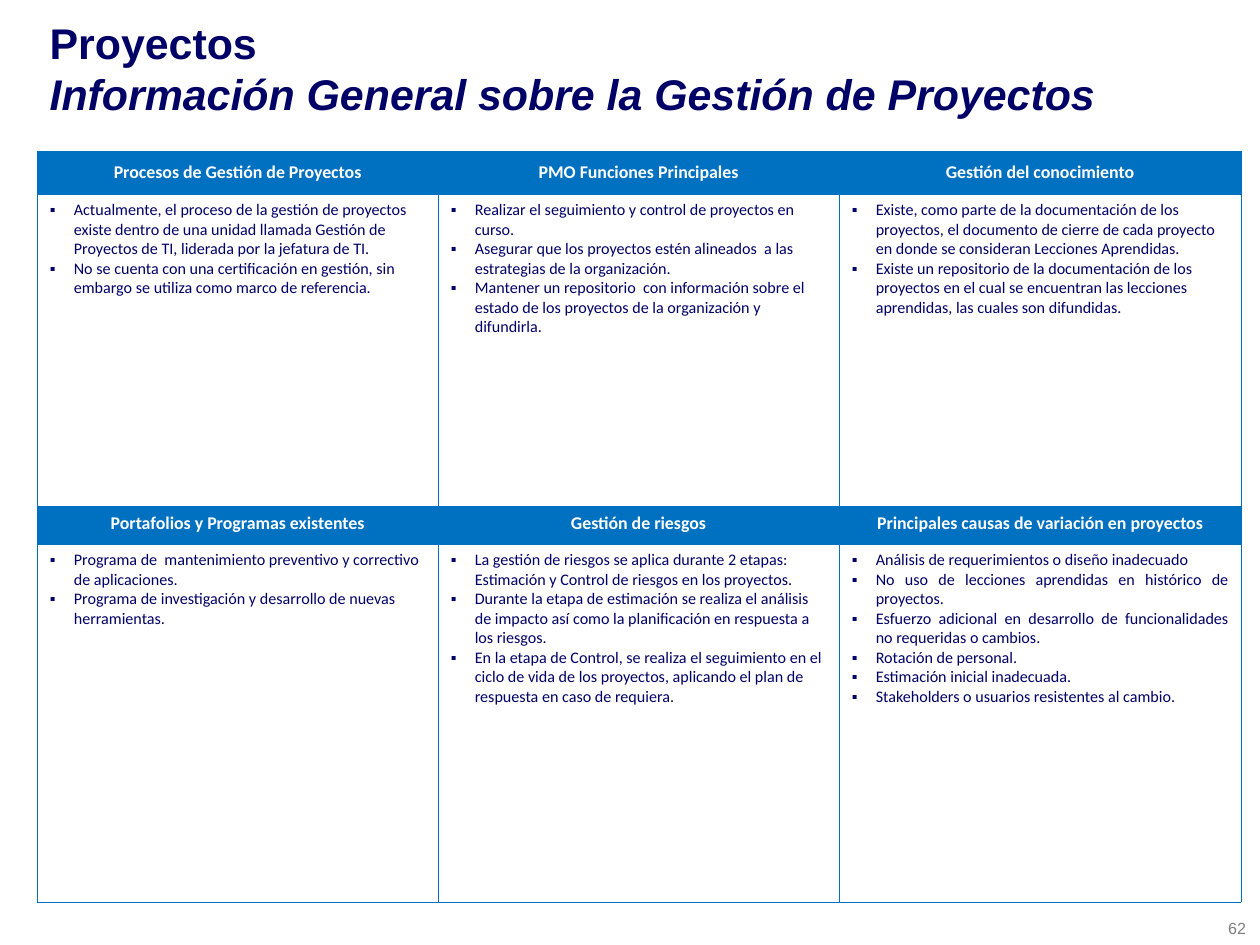
from lxml import etree
from pptx import Presentation
from pptx.dml.color import RGBColor
from pptx.enum.text import MSO_ANCHOR, PP_ALIGN
from pptx.oxml.ns import qn
from pptx.util import Emu, Pt

TITLE = ("Proyectos", "Información General sobre la Gestión de Proyectos")
PAGE = "62"
LEFT, CENTER, JUSTIFY = PP_ALIGN.LEFT, PP_ALIGN.CENTER, PP_ALIGN.JUSTIFY
SECTIONS = [
    (MSO_ANCHOR.MIDDLE, [
        ("Procesos de Gestión de Proyectos", LEFT, [
            "Actualmente, el proceso de la gestión de proyectos existe dentro de una unidad llamada Gestión de Proyectos de TI, liderada por la jefatura de TI.",
            "No se cuenta con una certificación en gestión, sin embargo se utiliza como marco de referencia.",
        ]),
        ("PMO Funciones Principales", LEFT, [
            "Realizar el seguimiento y control de proyectos en curso.",
            "Asegurar que los proyectos estén alineados  a las estrategias de la organización.",
            "Mantener un repositorio  con información sobre el estado de los proyectos de la organización y difundirla.",
        ]),
        ("Gestión del conocimiento", LEFT, [
            "Existe, como parte de la documentación de los proyectos, el documento de cierre de cada proyecto en donde se consideran Lecciones Aprendidas.",
            "Existe un repositorio de la documentación de los proyectos en el cual se encuentran las lecciones aprendidas, las cuales son difundidas.",
        ]),
    ]),
    (MSO_ANCHOR.TOP, [
        ("Portafolios y Programas existentes", LEFT, [
            "Programa de  mantenimiento preventivo y correctivo de aplicaciones.",
            "Programa de investigación y desarrollo de nuevas herramientas.",
        ]),
        ("Gestión de riesgos", LEFT, [
            "La gestión de riesgos se aplica durante 2 etapas: Estimación y Control de riesgos en los proyectos.",
            "Durante la etapa de estimación se realiza el análisis de impacto así como la planificación en respuesta a los riesgos.",
            "En la etapa de Control, se realiza el seguimiento en el ciclo de vida de los proyectos, aplicando el plan de respuesta en caso de requiera.",
        ]),
        ("Principales causas de variación en proyectos", JUSTIFY, [
            "Análisis de requerimientos o diseño inadecuado",
            "No uso de lecciones aprendidas en histórico de proyectos.",
            "Esfuerzo adicional en desarrollo de funcionalidades no requeridas o cambios.",
            "Rotación de personal.",
            "Estimación inicial inadecuada.",
            "Stakeholders o usuarios resistentes al cambio.",
        ]),
    ]),
]
NAVY, BLUE, WHITE, GRAY = "000066", "0070C0", "FFFFFF", "808080"
ROWS = (43, 312, 38, 358)
COLS = (401, 401, 402)
INDENT = 24


def px(n):
    return Emu(n * 7110)


def rgb(color):
    return RGBColor.from_string(color)


def add_run(p, text, font, size, color, bold=False, italic=False):
    r = p.add_run()
    r.text = text
    r.font.name = font
    r.font.size = Pt(size)
    r.font.color.rgb = rgb(color)
    r.font.bold = bold
    r.font.italic = italic


def add_bullet(p):
    pPr = p._p.get_or_add_pPr()
    pPr.set("marL", str(px(INDENT)))
    pPr.set("indent", str(-px(INDENT)))
    etree.SubElement(pPr, qn("a:buFont")).set("typeface", "Arial")
    etree.SubElement(pPr, qn("a:buChar")).set("char", "▪")


def style_cell(cell, fill, anchor):
    cell.vertical_anchor = anchor
    tcPr = cell._tc.get_or_add_tcPr()
    for side in ("lnL", "lnR", "lnT", "lnB"):
        ln = etree.SubElement(tcPr, qn(f"a:{side}"), w=str(Pt(0.25)))
        solid = etree.SubElement(ln, qn("a:solidFill"))
        etree.SubElement(solid, qn("a:srgbClr"), val=BLUE)
    cell.fill.solid()
    cell.fill.fore_color.rgb = rgb(fill)


def add_title(s):
    tf = s.shapes.add_textbox(px(37), px(21), px(1192), px(94)).text_frame
    tf.word_wrap = True
    tf.vertical_anchor = MSO_ANCHOR.MIDDLE
    p = tf.paragraphs[0]
    add_run(p, TITLE[0], "Arial", 24, NAVY, bold=True)
    p.add_line_break()
    add_run(p, TITLE[1], "Arial", 24, NAVY, bold=True, italic=True)


def add_page_number(s):
    tf = s.shapes.add_textbox(px(1214), px(912), px(46), px(32)).text_frame
    tf.word_wrap = False
    p = tf.paragraphs[0]
    p.alignment = CENTER
    add_run(p, PAGE, "Arial", 9, GRAY)


def add_grid(s):
    table = s.shapes.add_table(len(ROWS), len(COLS), px(37), px(151),
                               px(sum(COLS)), px(sum(ROWS))).table
    for row, height in zip(table.rows, ROWS):
        row.height = px(height)
    for col, width in zip(table.columns, COLS):
        col.width = px(width)
    for i, (anchor, topics) in enumerate(SECTIONS):
        for j, (heading, align, points) in enumerate(topics):
            head, body = table.cell(2 * i, j), table.cell(2 * i + 1, j)
            style_cell(head, BLUE, anchor)
            style_cell(body, WHITE, MSO_ANCHOR.TOP)
            p = head.text_frame.paragraphs[0]
            p.alignment = CENTER
            add_run(p, heading, "Calibri", 10, WHITE, bold=True)
            tf = body.text_frame
            for k, point in enumerate(points):
                p = tf.add_paragraph() if k else tf.paragraphs[0]
                add_bullet(p)
                p.alignment = align
                add_run(p, point, "Calibri", 9, NAVY)


def main():
    prs = Presentation()
    prs.slide_width, prs.slide_height = px(1260), px(945)
    s = prs.slides.add_slide(prs.slide_layouts[6])
    add_page_number(s)
    add_title(s)
    add_grid(s)
    prs.save("out.pptx")


if __name__ == "__main__":
    main()
